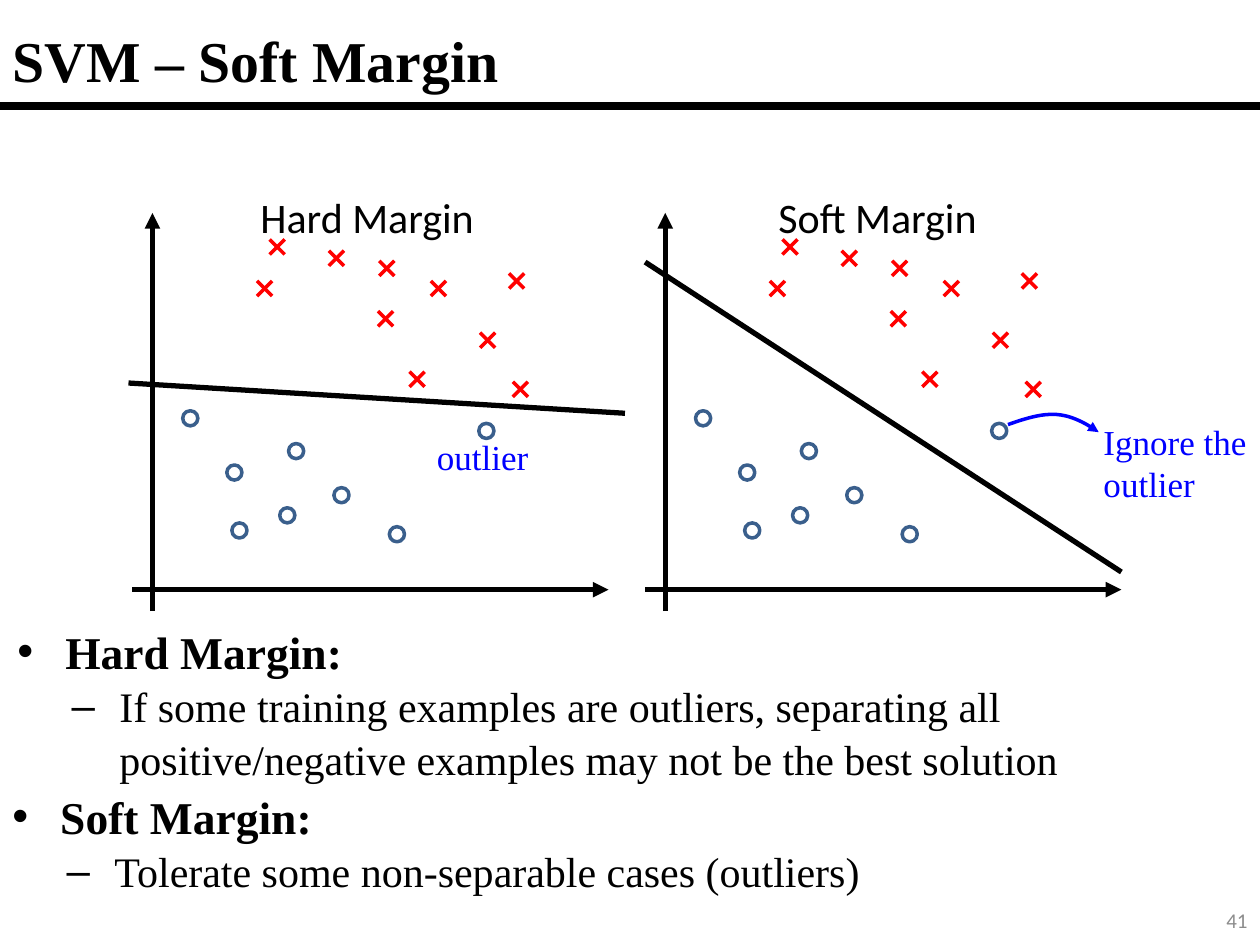
"""Build a slide comparing hard-margin and soft-margin SVM boundaries."""
from lxml import etree
from pptx import Presentation
from pptx import util as u
from pptx.dml.color import RGBColor
from pptx.enum import shapes, text
from pptx.oxml.ns import qn

BLACK = RGBColor(0, 0, 0)
RED = RGBColor(255, 0, 0)
BLUE = RGBColor(0, 0, 255)
STEEL = RGBColor(0x3A, 0x5F, 0x8C)
GREY = RGBColor(0x8C, 0x8C, 0x8C)
SERIF, SANS = "Times New Roman", "Calibri"

WIDTH, HEIGHT = u.Inches(10), u.Inches(7.5)
COLUMNS = 1000
CELL = WIDTH / COLUMNS
MARK = 12

CROSSES = [(105, 229), (226, 301), (243, 229), (162, 205), (115, 196),
           (202, 213), (282, 270), (201, 253), (305, 223), (308, 309)]
CIRCLES = [(46, 332), (81, 375), (130, 358), (166, 393), (123, 409),
           (85, 421), (210, 424), (281, 342)]
PANELS = [
    {"left": 105, "boundary": (-3, 304, 391, 328)},
    {"left": 512, "boundary": (0, 208, 378, 454)},
]
AXES = [(16, 485, 16, 169), (0, 468, 378, 468)]
ARROW_CURVES = [[(800, 337), (814, 332), (827, 328), (839, 329)],
                [(839, 329), (851, 330), (862, 336), (872, 343)]]
CURVE_STEPS = 12

LEFT, CENTER, RIGHT = text.PP_ALIGN.LEFT, text.PP_ALIGN.CENTER, text.PP_ALIGN.RIGHT
TOP, MIDDLE = text.MSO_ANCHOR.TOP, text.MSO_ANCHOR.MIDDLE
LABELS = [
    ("SVM – Soft Margin", (0, 8, 999, 79), LEFT, MIDDLE,
     {"name": SERIF, "size": u.Pt(33), "bold": True}, BLACK),
    ("Hard Margin", (193, 147, 197, 50), CENTER, TOP,
     {"name": SANS, "size": u.Pt(24)}, BLACK),
    ("Soft Margin", (598, 147, 197, 50), CENTER, TOP,
     {"name": SANS, "size": u.Pt(24)}, BLACK),
    ("outlier", (319, 341, 128, 44), CENTER, TOP,
     {"name": SERIF, "size": u.Pt(20)}, BLUE),
    ("Ignore the outlier", (866, 329, 154, 77), LEFT, TOP,
     {"name": SERIF, "size": u.Pt(20)}, BLUE),
    ("41", (775, 710, 225, 40), RIGHT, MIDDLE,
     {"name": SANS, "size": u.Pt(12)}, GREY),
]
NOTES = [
    ((4, 488, 1000, 135), "Hard Margin:",
     "If some training examples are outliers, separating all "
     "positive/negative examples may not be the best solution"),
    ((0, 619, 1000, 94), "Soft Margin:",
     "Tolerate some non-separable cases (outliers)"),
]
BULLETS = [
    {"char": "•", "indent": 38, "font": {"name": SERIF, "size": u.Pt(26), "bold": True}},
    {"char": "–", "indent": 81, "font": {"name": SERIF, "size": u.Pt(24), "bold": False}},
]
HANGING = 38


def grid(*cells):
    return [round(cell * CELL) for cell in cells]


def set_all(target, values):
    for name, value in values.items():
        setattr(target, name, value)


def style_line(shape, color, points, arrow=False):
    shape.line.color.rgb = color
    shape.line.width = u.Pt(points)
    if arrow:
        etree.SubElement(shape.line._get_or_add_ln(), qn("a:tailEnd"), type="triangle")


def add_line(canvas, ends, color, points, arrow=False):
    line = canvas.add_connector(shapes.MSO_CONNECTOR.STRAIGHT, *grid(*ends))
    style_line(line, color, points, arrow)
    etree.SubElement(line._element.spPr, qn("a:effectLst"))


def add_cross(canvas, x, y):
    half = MARK / 2
    for slope in (1, -1):
        add_line(canvas, (x - half, y - slope * half, x + half, y + slope * half), RED, 2)


def add_circle(canvas, x, y):
    circle = canvas.add_shape(shapes.MSO_SHAPE.OVAL,
                              *grid(x - MARK / 2, y - MARK / 2, MARK, MARK))
    circle.shadow.inherit = False
    circle.fill.background()
    style_line(circle, STEEL, 2)


def add_panel(slide, left, boundary):
    canvas = slide.shapes.add_group_shape().shapes

    def shift(ends):
        return ends[0] + left, ends[1], ends[2] + left, ends[3]

    add_line(canvas, shift(boundary), BLACK, 3)
    for axis in AXES:
        add_line(canvas, shift(axis), BLACK, 3, arrow=True)
    for x, y in CIRCLES:
        add_circle(canvas, left + x, y)
    for x, y in CROSSES:
        add_cross(canvas, left + x, y)


def curve_point(controls, t):
    weights = ((1 - t) ** 3, 3 * t * (1 - t) ** 2, 3 * t ** 2 * (1 - t), t ** 3)
    return grid(*(sum(w * value for w, value in zip(weights, axis))
                  for axis in zip(*controls)))


def add_curved_arrow(slide):
    points = [curve_point(controls, step / CURVE_STEPS)
              for controls in ARROW_CURVES for step in range(1, CURVE_STEPS + 1)]
    builder = slide.shapes.build_freeform(*grid(*ARROW_CURVES[0][0]))
    builder.add_line_segments(points, close=False)
    arrow = builder.convert_to_shape()
    arrow.shadow.inherit = False
    arrow.fill.background()
    style_line(arrow, BLUE, 2, arrow=True)


def add_text_frame(slide, box, anchor=TOP):
    frame = slide.shapes.add_textbox(*grid(*box)).text_frame
    set_all(frame, {"word_wrap": True, "vertical_anchor": anchor})
    return frame


def add_label(slide, words, box, alignment, anchor, font, color):
    paragraph = add_text_frame(slide, box, anchor).paragraphs[0]
    set_all(paragraph, {"text": words, "alignment": alignment})
    set_all(paragraph.font, font)
    paragraph.font.color.rgb = color


def add_notes(slide, box, *lines):
    frame = add_text_frame(slide, box)
    for level, (words, bullet) in enumerate(zip(lines, BULLETS)):
        paragraph = frame.add_paragraph() if level else frame.paragraphs[0]
        set_all(paragraph, {"text": words, "level": level, "line_spacing": 1.05})
        properties = paragraph._p.get_or_add_pPr()
        margin, hanging = grid(bullet["indent"], HANGING)
        properties.set("marL", str(margin))
        properties.set("indent", str(-hanging))
        etree.SubElement(properties, qn("a:buFont"), typeface="Arial")
        etree.SubElement(properties, qn("a:buChar"), char=bullet["char"])
        set_all(paragraph.font, bullet["font"])
        paragraph.font.color.rgb = BLACK


def main():
    presentation = Presentation()
    set_all(presentation, {"slide_width": WIDTH, "slide_height": HEIGHT})
    slide = presentation.slides.add_slide(presentation.slide_layouts[6])
    add_line(slide.shapes, (0, 84, COLUMNS, 84), BLACK, 4.5)
    for panel in PANELS:
        add_panel(slide, **panel)
    for note in NOTES:
        add_notes(slide, *note)
    for label in LABELS:
        add_label(slide, *label)
    add_curved_arrow(slide)
    presentation.save("out.pptx")


if __name__ == "__main__":
    main()
